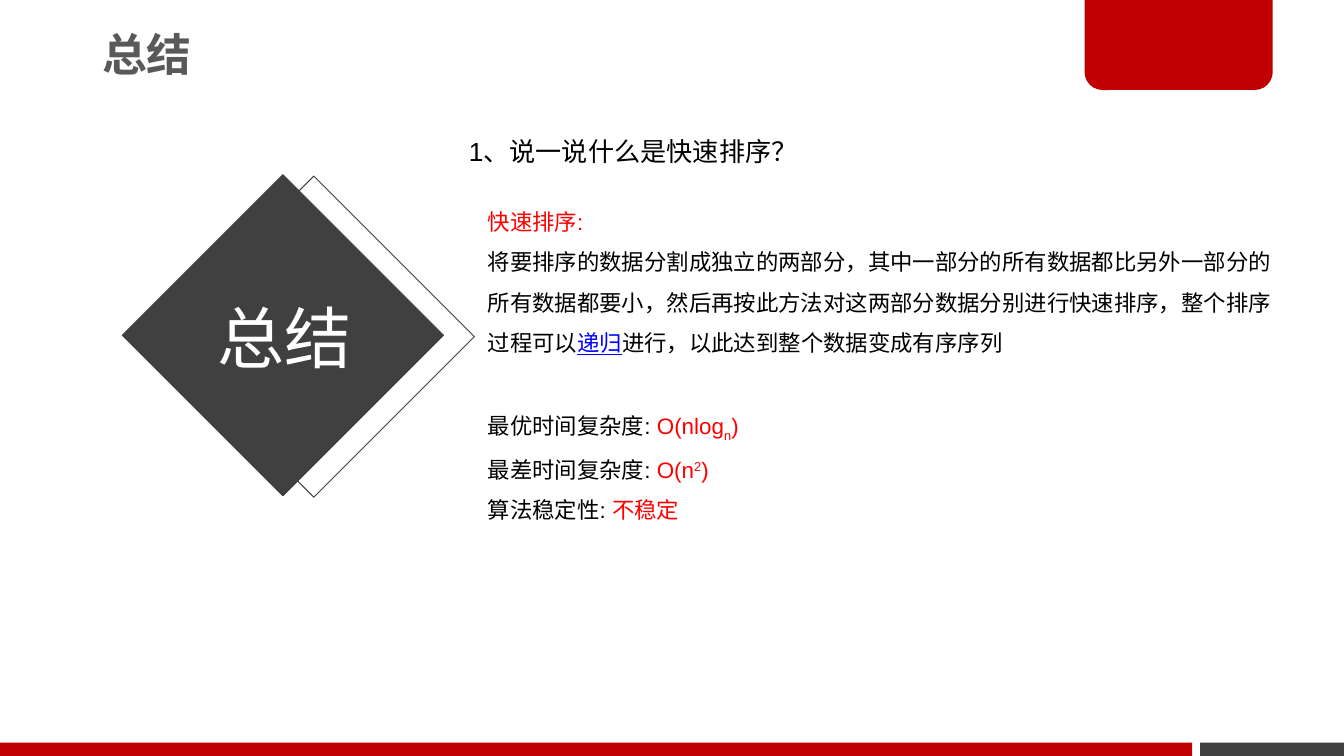
from dataclasses import dataclass

from pptx import Presentation
from pptx.dml.color import RGBColor
from pptx.enum.shapes import MSO_SHAPE
from pptx.enum.text import MSO_ANCHOR, MSO_AUTO_SIZE, PP_ALIGN
from pptx.util import Inches, Pt

RECTANGLE = MSO_SHAPE.RECTANGLE
ROUNDED_END = MSO_SHAPE.ROUND_2_SAME_RECTANGLE
MIDDLE = MSO_ANCHOR.MIDDLE
TOP = MSO_ANCHOR.TOP
LEFT = PP_ALIGN.LEFT
CENTER = PP_ALIGN.CENTER
FIT_TEXT = MSO_AUTO_SIZE.SHAPE_TO_FIT_TEXT
NO_FIT = MSO_AUTO_SIZE.NONE
TITLE_ONLY = 5


@dataclass(frozen=True)
class Theme:
    font: str = "Arial"
    brand: RGBColor = RGBColor(0xC0, 0x00, 0x00)
    dark: RGBColor = RGBColor(0x40, 0x40, 0x40)
    heading: RGBColor = RGBColor(0x59, 0x59, 0x59)
    white: RGBColor = RGBColor(0xFF, 0xFF, 0xFF)
    text: RGBColor = RGBColor(0x00, 0x00, 0x00)
    accent: RGBColor = RGBColor(0xFF, 0x00, 0x00)
    term: RGBColor = RGBColor(0x00, 0x00, 0xFF)
    title_size: Pt = Pt(24)
    label_size: Pt = Pt(36)
    question_size: Pt = Pt(14)
    body_size: Pt = Pt(12)
    outline: Pt = Pt(0.5)


THEME = Theme()
SLIDE_WIDTH = 10
SLIDE_HEIGHT = SLIDE_WIDTH * 9 / 16

ANSWER = [
    [("快速排序:", "accent")],
    [
        ("将要排序的数据分割成独立的两部分，其中一部分的所有数据都比另外一部分的"
         "所有数据都要小，然后再按此方法对这两部分数据分别进行快速排序，"
         "整个排序过程可以", "text"),
        ("递归", "term"),
        ("进行，以此达到整个数据变成有序序列", "text"),
    ],
    [("最优时间复杂度: ", "text"), ("O(nlog", "accent"),
     ("n", "accent", -25000), (")", "accent")],
    [("最差时间复杂度:", "text"), (" O(n", "accent"),
     ("2", "accent", 30000), (")", "accent")],
    [("算法稳定性: ", "text"), ("不稳定", "accent")],
]
COMPLEXITY_START = 2


def add_block(page, kind, box, fill=None, line=None):
    shape = page.shapes.add_shape(kind, *map(Inches, box))
    shape.shadow.inherit = False
    if fill is None:
        shape.fill.background()
    else:
        shape.fill.solid()
        shape.fill.fore_color.rgb = fill
    if line is None:
        shape.line.fill.background()
    else:
        shape.line.color.rgb = line
        shape.line.width = THEME.outline
    return shape


def set_font(para, size, color=None, bold=False):
    para.font.name = THEME.font
    para.font.size = size
    para.font.bold = bold
    if color is not None:
        para.font.color.rgb = color


def set_frame(frame, anchor, auto_size, insets=(0.1, 0.05)):
    frame.word_wrap = True
    frame.auto_size = auto_size
    frame.vertical_anchor = anchor
    frame.margin_left = frame.margin_right = Inches(insets[0])
    frame.margin_top = frame.margin_bottom = Inches(insets[1])


def write_heading(shape, text, size, color, align, bold=False):
    frame = shape.text_frame
    set_frame(frame, MIDDLE, NO_FIT, (0.07, 0.04))
    para = frame.paragraphs[0]
    para.text = text
    para.alignment = align
    para.line_spacing = 0.9
    set_font(para, size, color, bold)


def add_frame_marks(page, box):
    left, top, width, height = box
    bar, gap, tail = 0.1, 0.06, 1.07
    bar_top = top + height - bar
    main_width = width - tail - gap
    add_block(page, RECTANGLE, (left + width - tail, bar_top, tail, bar), THEME.dark)
    add_block(page, RECTANGLE, (left, bar_top, main_width, bar), THEME.brand)
    tab = add_block(page, ROUNDED_END, (left + 8.07, top, 1.4, 0.67), THEME.brand)
    tab.adjustments[0] = 0
    tab.adjustments[1] = 0.2


def place_title(page, box):
    title = page.shapes.title
    title.left, title.top, title.width, title.height = map(Inches, box)
    write_heading(title, "总结", THEME.title_size, THEME.heading, LEFT, bold=True)


def add_diamond(page, box):
    left, top, side, _ = box
    back = add_block(page, RECTANGLE, (left + 0.23, top + 0.01, side, side),
                     line=THEME.dark)
    front = add_block(page, RECTANGLE, box, THEME.dark, THEME.dark)
    for square in (back, front):
        square.rotation = 45
    label = page.shapes.add_textbox(
        Inches(left - 1.24), Inches(top + 0.45), Inches(side + 2.5), Inches(0.89))
    write_heading(label, "总结", THEME.label_size, THEME.white, CENTER)


def add_question(page, box):
    frame = page.shapes.add_textbox(*map(Inches, box)).text_frame
    set_frame(frame, TOP, FIT_TEXT)
    para = frame.paragraphs[0]
    para.text = "1、说一说什么是快速排序？"
    set_font(para, THEME.question_size, THEME.text)


def add_span(para, text, role, baseline=0):
    span = para.add_run()
    span.text = text
    span.font.color.rgb = getattr(THEME, role)
    if role == "term":
        span.font.underline = True
    if baseline:
        span.font._element.set("baseline", str(baseline))


def add_answer(page, box):
    frame = page.shapes.add_textbox(*map(Inches, box)).text_frame
    set_frame(frame, TOP, FIT_TEXT)
    for index, spans in enumerate(ANSWER):
        para = frame.add_paragraph() if index else frame.paragraphs[0]
        para.line_spacing = 1.5
        if index == COMPLEXITY_START:
            para.space_before = Pt(22)
        set_font(para, THEME.body_size)
        for span in spans:
            add_span(para, *span)


def main():
    deck = Presentation()
    deck.slide_width = Inches(SLIDE_WIDTH)
    deck.slide_height = Inches(SLIDE_HEIGHT)
    page = deck.slides.add_slide(deck.slide_layouts[TITLE_ONLY])
    add_frame_marks(page, (0, 0, SLIDE_WIDTH, SLIDE_HEIGHT))
    place_title(page, (0.69, -0.02, 4.31, 0.89))
    add_diamond(page, (1.26, 1.65, 1.69, 1.69))
    add_answer(page, (3.53, 1.4, 6.09, 2.5))
    add_question(page, (3.39, 0.96, 5.78, 0.34))
    deck.save("out.pptx")


if __name__ == "__main__":
    main()
